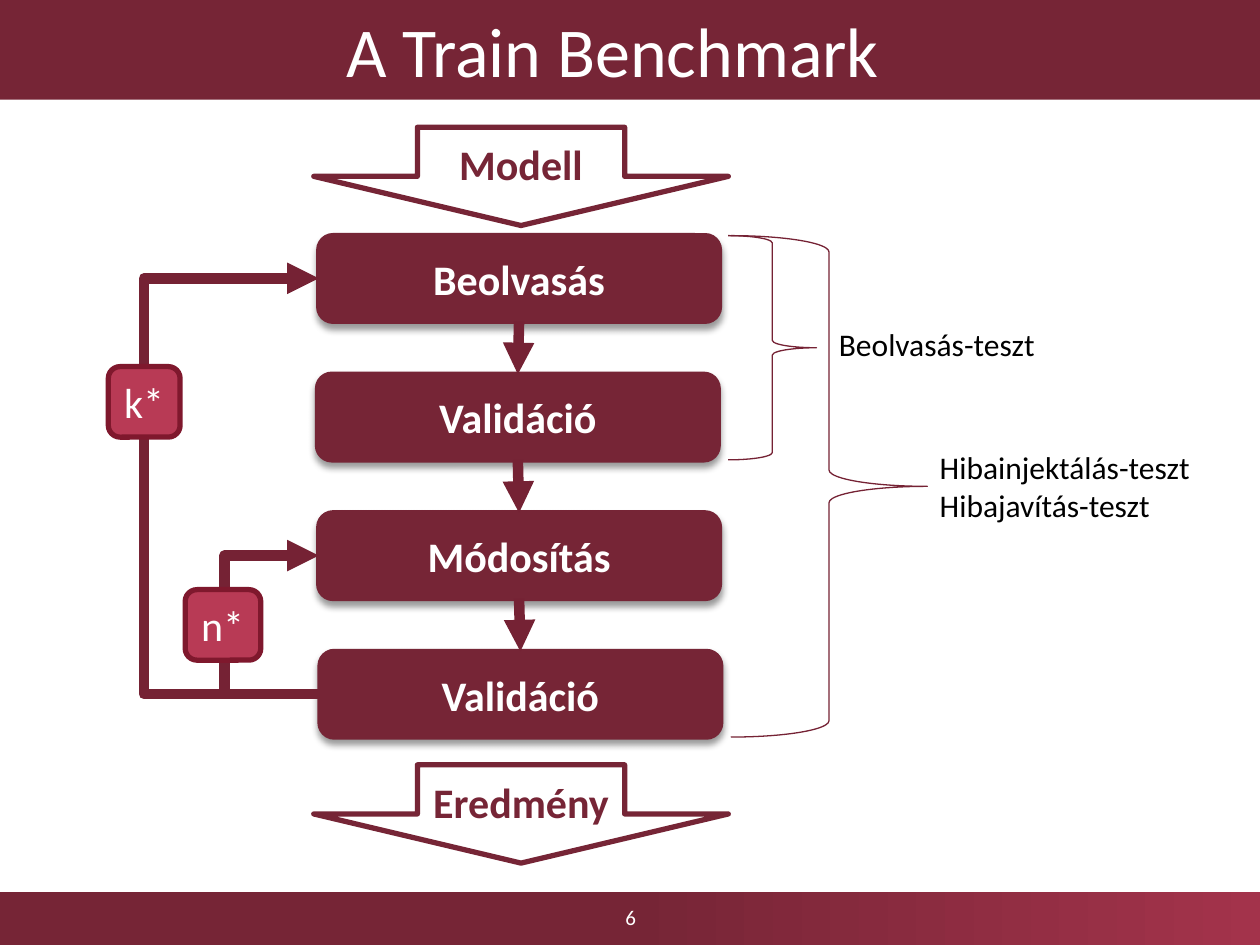
from pptx import Presentation
from pptx.dml.color import RGBColor
from pptx.enum.shapes import MSO_CONNECTOR as LINK, MSO_SHAPE as SHAPE
from pptx.enum.text import MSO_ANCHOR as ANCHOR, PP_ALIGN as ALIGN
from pptx.oxml.ns import qn
from pptx.util import Inches, Pt
from lxml.etree import SubElement


def color(value):
    return RGBColor.from_string(value)


class FlowSlide:
    """Draws the elements of a flow diagram on one slide in a shared style."""

    FONT, MAIN, LINK_COLOR = "Calibri", "762536", "752234"
    WHITE, BLACK = "FFFFFF", "000000"

    def __init__(self, slide):
        self.shapes = slide.shapes

    def fill_text(self, shape, lines, size, ink, bold=False, align=ALIGN.CENTER,
                  anchor=ANCHOR.MIDDLE, wrap=False):
        frame = shape.text_frame
        frame.word_wrap = wrap
        frame.vertical_anchor = anchor
        paragraph = frame.paragraphs[0]
        paragraph.alignment = align
        for index, line in enumerate(lines.split("\n")):
            if index:
                paragraph.add_line_break()
            run = paragraph.add_run()
            run.text = line
            run.font.name, run.font.size, run.font.bold = self.FONT, Pt(size), bold
            run.font.color.rgb = color(ink)

    def shape(self, kind, box, fill=None, line=None, weight=3):
        shape = self.shapes.add_shape(kind, *map(Inches, box))
        shape.shadow.inherit = False
        if fill:
            shape.fill.solid()
            shape.fill.fore_color.rgb = color(fill)
        else:
            shape.fill.background()
        if line:
            shape.line.color.rgb = color(line)
            shape.line.width = Pt(weight)
        else:
            shape.line.fill.background()
        return shape

    def title(self, text):
        bar = self.shape(SHAPE.RECTANGLE, (0, 0, 10, 0.79), self.MAIN)
        self.fill_text(bar, text, 40, self.WHITE, wrap=True)

    def footer(self, number):
        bar = self.shape(SHAPE.RECTANGLE, (0, 7.08, 10, 0.42))
        bar.fill.gradient()
        bar.fill.gradient_angle = 0
        for stop, place, tint in zip(bar.fill.gradient_stops, (0.5, 1), (self.MAIN, "A3334B")):
            stop.position = place
            stop.color.rgb = color(tint)
        self.label(number, (3.88, 7.08, 2.25, 0.4), 12, self.WHITE,
                   align=ALIGN.CENTER, anchor=ANCHOR.MIDDLE, wrap=True)

    def label(self, text, box, size=18, ink=BLACK, align=ALIGN.LEFT,
              anchor=ANCHOR.TOP, wrap=False):
        label = self.shapes.add_textbox(*map(Inches, box))
        self.fill_text(label, text, size, ink, align=align, anchor=anchor, wrap=wrap)

    def block_arrow(self, text, top):
        arrow = self.shape(SHAPE.DOWN_ARROW, (2.49, top, 3.29, 0.78), self.WHITE, self.MAIN)
        self.fill_text(arrow, text, 24, self.MAIN, bold=True)

    def step(self, text, left, top):
        step = self.shape(SHAPE.ROUNDED_RECTANGLE, (left, top, 3.18, 0.68), self.MAIN, self.MAIN)
        effects = step._element.spPr.find(qn("a:effectLst"))
        shadow = SubElement(effects, qn("a:outerShdw"), blurRad=str(Pt(4)),
                            dist=str(Pt(3)), dir="5400000", rotWithShape="0")
        black = SubElement(shadow, qn("a:srgbClr"), val=self.BLACK)
        SubElement(black, qn("a:alpha"), val="40000")
        self.fill_text(step, text, 24, self.WHITE, bold=True)
        return step

    def connect(self, kind, source, source_side, target, target_side):
        link = self.shapes.add_connector(kind, 0, 0, 0, 0)
        link.begin_connect(source, source_side)
        link.end_connect(target, target_side)
        link.line.color.rgb = color(self.LINK_COLOR)
        link.line.width = Pt(6)
        outline = link._element.spPr.find(qn("a:ln"))
        SubElement(outline, qn("a:tailEnd"), type="triangle")
        SubElement(link._element.spPr, qn("a:effectLst"))
        return link

    def loop(self, source, target, turn):
        link = self.connect(LINK.ELBOW, source, 1, target, 1)
        bend = round((link.begin_x - Inches(turn)) / link.width * 100000)
        guides = link._element.spPr.find(qn("a:prstGeom")).get_or_add_avLst()
        SubElement(guides, qn("a:gd"), name="adj1", fmla=f"val {bend}")

    def badge(self, text, box):
        badge = self.shape(SHAPE.ROUNDED_RECTANGLE, box, "B83A55", "7F182D")
        self.fill_text(badge, text, 24, self.WHITE, align=ALIGN.LEFT, anchor=ANCHOR.TOP)

    def brace(self, box):
        self.shape(SHAPE.RIGHT_BRACE, box, line=self.LINK_COLOR, weight=0.75)


def main():
    deck = Presentation()
    deck.slide_width, deck.slide_height = Inches(10), Inches(7.5)
    flow = FlowSlide(deck.slides.add_slide(deck.slide_layouts[6]))

    flow.footer("6")
    flow.title("A Train Benchmark\t")
    flow.block_arrow("Modell", 1.01)

    stages = [("Beolvasás", 2.53), ("Validáció", 2.52), ("Módosítás", 2.53), ("Validáció", 2.54)]
    steps = [flow.step(name, left, 1.87 + 1.1 * row) for row, (name, left) in enumerate(stages)]
    for upper, lower in zip(steps, steps[1:]):
        flow.connect(LINK.STRAIGHT, upper, 2, lower, 0)

    read, _, modify, recheck = steps
    flow.loop(recheck, modify, 1.77)
    flow.badge("n*", (1.47, 4.68, 0.6, 0.56))
    flow.loop(recheck, read, 1.12)
    flow.badge("k*", (0.86, 2.91, 0.57, 0.56))
    flow.block_arrow("Eredmény", 6.07)

    flow.brace((5.78, 1.87, 0.7, 1.78))
    flow.label("Beolvasás-teszt", (6.56, 2.53, 1.77, 0.4))
    flow.brace((5.8, 1.87, 1.56, 3.98))
    flow.label("Hibainjektálás-teszt\nHibajavítás-teszt", (7.36, 3.51, 2.21, 0.71))

    deck.save("out.pptx")


if __name__ == "__main__":
    main()
